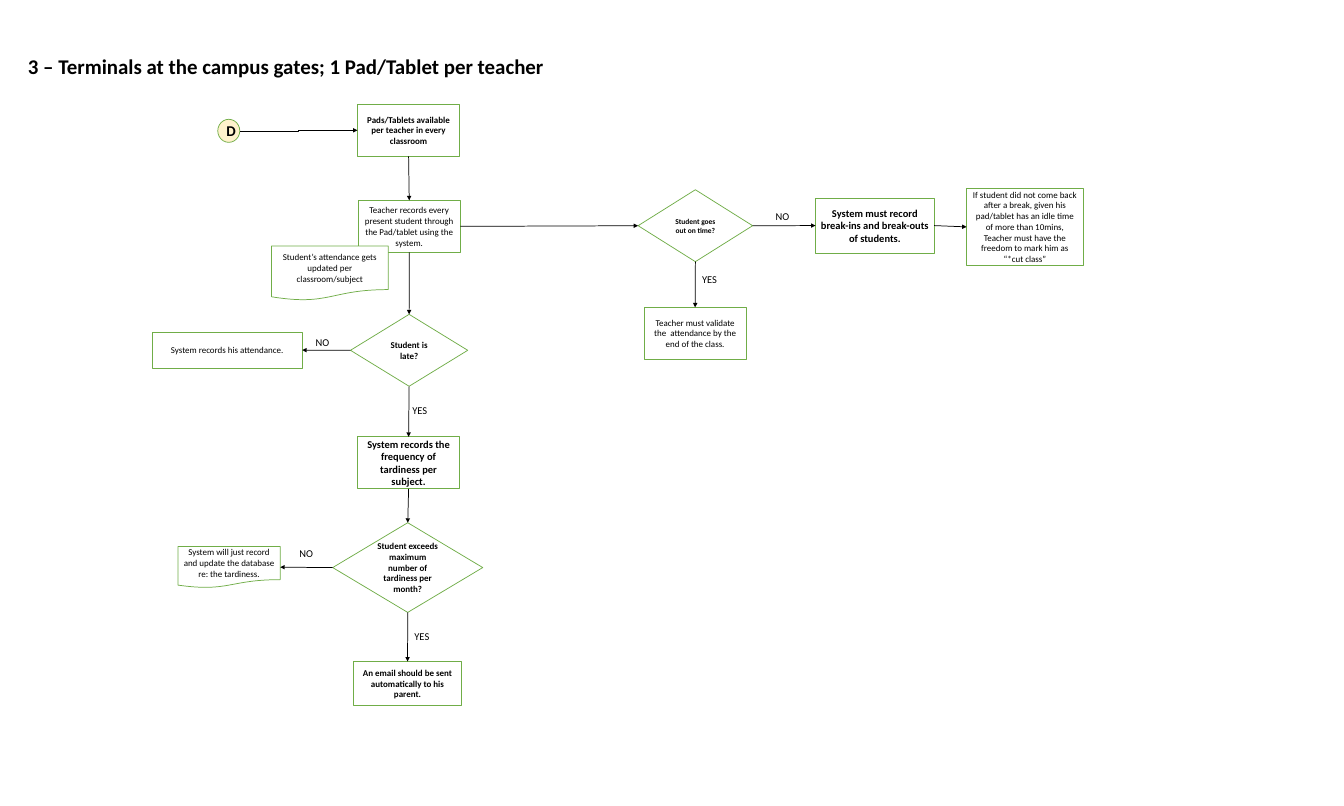
"""Build the flowchart slide for attendance with gate terminals and classroom tablets."""
from dataclasses import dataclass
from typing import NamedTuple

from lxml import etree
from pptx import Presentation
from pptx.dml import color
from pptx.enum import shapes, text
from pptx.oxml import ns
from pptx import util as u


@dataclass(frozen=True)
class Theme:
    font: str = "Calibri"
    ink: color.RGBColor = color.RGBColor(0, 0, 0)
    paper: color.RGBColor = color.RGBColor(255, 255, 255)
    cream: color.RGBColor = color.RGBColor(0xFF, 0xF2, 0xCC)
    green: color.RGBColor = color.RGBColor(0x70, 0xAD, 0x47)
    title: int = 28
    marker: int = 20
    large: int = 14
    body: int = 12
    small: int = 10
    stroke: float = 1
    thin: float = 0.5


THEME = Theme()
KIND = shapes.MSO_SHAPE
TOP, LEFT, BOTTOM, RIGHT = range(4)


class Node(NamedTuple):
    key: str
    kind: KIND
    left: float
    top: float
    width: float
    height: float
    words: str
    size: int = THEME.body
    bold: bool = False
    fill: color.RGBColor = THEME.paper


class Arrow(NamedTuple):
    start: str
    start_side: int
    end: str
    end_side: int


class Label(NamedTuple):
    words: str
    left: float
    top: float
    width: float = 1.3
    height: float = 0.86
    size: int = THEME.large
    bold: bool = False


NODES = [
    Node("marker", KIND.FLOWCHART_CONNECTOR, 10.29, 5.64, 1.04, 1.09, "D",
         THEME.marker, True, THEME.cream),
    Node("tablets", KIND.RECTANGLE, 16.89, 4.93, 4.83, 2.46,
         "Pads/Tablets available per teacher in every classroom", bold=True),
    Node("roll call", KIND.RECTANGLE, 16.92, 9.47, 4.83, 2.46,
         "Teacher records every present student through the Pad/tablet using the system."),
    Node("update", KIND.FLOWCHART_DOCUMENT, 12.83, 11.63, 5.51, 2.57,
         "Student’s attendance gets updated per classroom/subject"),
    Node("late", KIND.FLOWCHART_DECISION, 16.56, 14.86, 5.54, 3.4,
         "Student is late?", bold=True),
    Node("attendance", KIND.RECTANGLE, 7.19, 15.7, 7.09, 1.7,
         "System records his attendance."),
    Node("frequency", KIND.RECTANGLE, 16.89, 20.65, 4.83, 2.46,
         "System records the frequency of tardiness per subject.", THEME.large, True),
    Node("maximum", KIND.FLOWCHART_DECISION, 15.72, 24.71, 7.09, 4.24,
         "Student exceeds maximum number of tardiness per month?", bold=True),
    Node("database", KIND.FLOWCHART_DOCUMENT, 8.41, 25.83, 4.83, 1.96,
         "System will just record and update the database re: the tardiness."),
    Node("email", KIND.RECTANGLE, 16.69, 31.27, 5.13, 2.08,
         "An email should be sent automatically to his parent.", bold=True),
    Node("on time", KIND.FLOWCHART_DECISION, 30.15, 8.97, 5.41, 3.4,
         "Student goes out on time?", THEME.small, True),
    Node("validate", KIND.RECTANGLE, 30.43, 14.53, 4.83, 2.46,
         "Teacher must validate the  attendance by the end of the class."),
    Node("breaks", KIND.RECTANGLE, 38.53, 9.37, 5.61, 2.59,
         "System must record break-ins and break-outs of students.", THEME.large, True),
    Node("cut class", KIND.RECTANGLE, 45.67, 8.92, 5.51, 3.61,
         "If student did not come back after a break, given his pad/tablet has an idle time "
         "of more than 10mins, Teacher must have the freedom to mark him as “*cut class”"),
]

ARROWS = [
    Arrow("tablets", BOTTOM, "roll call", TOP),
    Arrow("roll call", BOTTOM, "late", TOP),
    Arrow("late", BOTTOM, "frequency", TOP),
    Arrow("frequency", BOTTOM, "maximum", TOP),
    Arrow("maximum", BOTTOM, "email", TOP),
    Arrow("on time", BOTTOM, "validate", TOP),
    Arrow("late", LEFT, "attendance", RIGHT),
    Arrow("maximum", LEFT, "database", RIGHT),
    Arrow("roll call", RIGHT, "on time", LEFT),
    Arrow("on time", RIGHT, "breaks", LEFT),
    Arrow("breaks", RIGHT, "cut class", LEFT),
]

LABELS = [
    Label("3 – Terminals at the campus gates; 1 Pad/Tablet per teacher",
          1.07, 2.39, 25.43, 1.45, THEME.title, True),
    Label("NO", 14.66, 15.77),
    Label("YES", 19.23, 18.97),
    Label("NO", 13.89, 25.73),
    Label("YES", 19.33, 29.67),
    Label("NO", 36.4, 9.8),
    Label("YES", 32.92, 12.8),
]


def write(frame, words: str, *, size: int, bold: bool = False,
          align=text.PP_ALIGN.LEFT, anchor=text.MSO_ANCHOR.TOP, wrap: bool = True) -> None:
    """Put one formatted paragraph into a text frame."""
    frame.word_wrap = wrap
    frame.vertical_anchor = anchor
    para = frame.paragraphs[0]
    para.alignment = align
    span = para.add_run()
    span.text = words
    span.font.name = THEME.font
    span.font.size = u.Pt(size)
    span.font.bold = bold
    span.font.color.rgb = THEME.ink


def draw_node(page, node: Node):
    """Draw one flowchart step and return its shape."""
    place = map(u.Cm, (node.left, node.top, node.width, node.height))
    box = page.shapes.add_shape(node.kind, *place)
    box.shadow.inherit = False
    box.fill.solid()
    box.fill.fore_color.rgb = node.fill
    box.line.color.rgb = THEME.green
    box.line.width = u.Pt(THEME.stroke)
    write(box.text_frame, node.words, size=node.size, bold=node.bold,
          align=text.PP_ALIGN.CENTER, anchor=text.MSO_ANCHOR.MIDDLE)
    return box


def style_arrow(line, width: float) -> None:
    """Give a connector its stroke, its arrowhead and no shadow."""
    line.line.color.rgb = THEME.ink
    line.line.width = u.Pt(width)
    etree.SubElement(line.line._get_or_add_ln(), ns.qn("a:tailEnd"), type="triangle")
    etree.SubElement(line._element.spPr, ns.qn("a:effectLst"))


def draw_arrow(page, arrow: Arrow, boxes: dict) -> None:
    """Join two steps with a straight arrow."""
    line = page.shapes.add_connector(shapes.MSO_CONNECTOR.STRAIGHT, 0, 0, 0, 0)
    line.begin_connect(boxes[arrow.start], arrow.start_side)
    line.end_connect(boxes[arrow.end], arrow.end_side)
    style_arrow(line, THEME.stroke)


def draw_entry(page, marker, target) -> None:
    """Lead from the round marker into the first step with a bent arrow."""
    line = page.shapes.add_connector(
        shapes.MSO_CONNECTOR.ELBOW,
        marker.left + marker.width, marker.top + marker.height // 2,
        target.left, target.top + target.height // 2)
    style_arrow(line, THEME.thin)


def draw_label(page, label: Label) -> None:
    """Draw free text that does not wrap."""
    place = map(u.Cm, (label.left, label.top, label.width, label.height))
    frame = page.shapes.add_textbox(*place).text_frame
    write(frame, label.words, size=label.size, bold=label.bold, wrap=False)
    frame.auto_size = text.MSO_AUTO_SIZE.SHAPE_TO_FIT_TEXT


def main() -> None:
    """Assemble and save the deck."""
    deck = Presentation()
    deck.slide_width, deck.slide_height = u.Cm(63.5), u.Cm(38.1)
    page = deck.slides.add_slide(deck.slide_layouts[6])
    boxes = {node.key: draw_node(page, node) for node in NODES}
    draw_entry(page, boxes["marker"], boxes["tablets"])
    for arrow in ARROWS:
        draw_arrow(page, arrow, boxes)
    for label in LABELS:
        draw_label(page, label)
    deck.save("out.pptx")


main()
